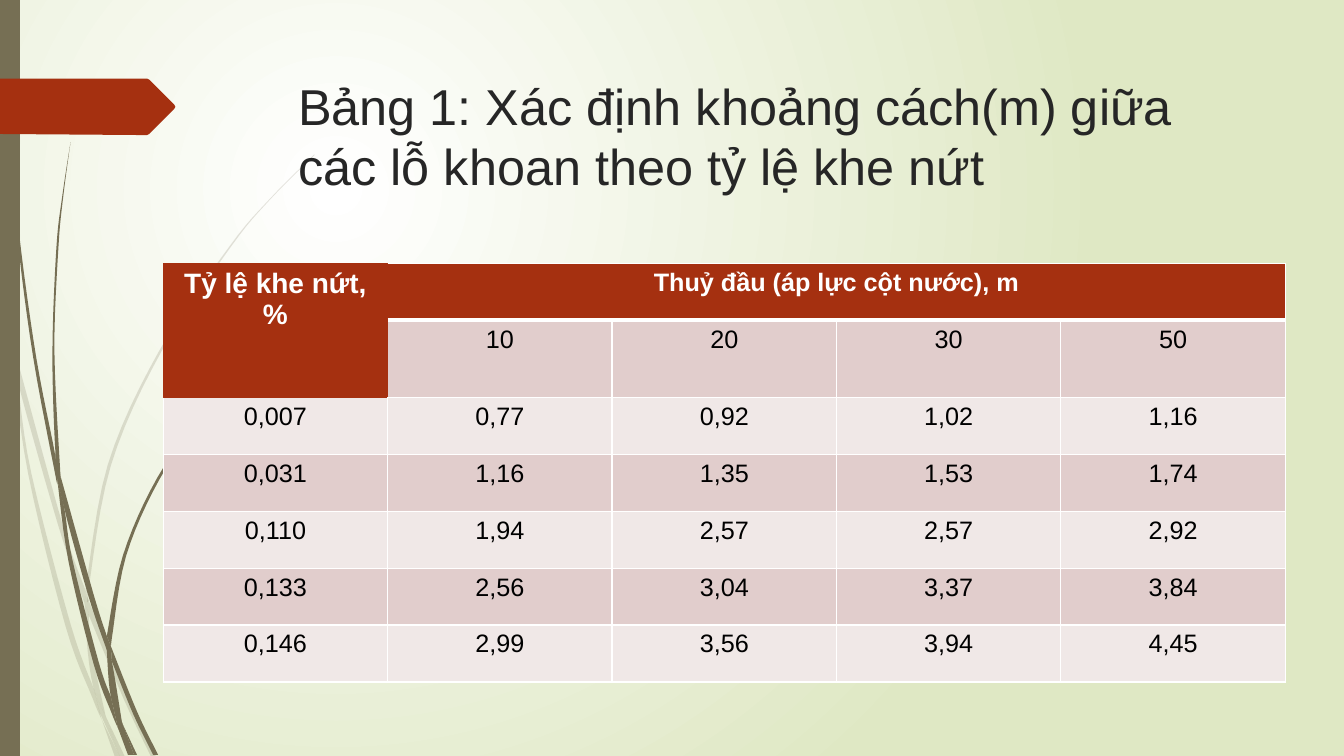
import pptx
import pptx.dml.color
import pptx.enum.text
import pptx.oxml
import pptx.oxml.ns
import pptx.util

Pt = pptx.util.Pt
RGBColor = pptx.dml.color.RGBColor

WHITE = RGBColor(0xFF, 0xFF, 0xFF)
BLACK = RGBColor(0, 0, 0)
TITLE_INK = RGBColor(0x26, 0x26, 0x26)
LEAF_GREEN = RGBColor(0xDF, 0xE8, 0xC4)
STEM = RGBColor(0x76, 0x6F, 0x54)
RUST = RGBColor(0xA5, 0x30, 0x10)
ROSE = RGBColor(0xE1, 0xCD, 0xCC)
PALE_ROSE = RGBColor(0xF0, 0xE8, 0xE7)
FONT = "Arial"
GRID = Pt(0.72)  # the grass and the arrow are laid out on this step
CURVE_STEPS = 6

# Each blade piece is a list of smooth edges, joined in order and closed.
PALE_GRASS = [
    [[(11, 350), (9, 322), (0, 282)], [(0, 299), (11, 350)]],
    [[(14, 345), (17, 376), (58, 522), (84, 599)], [(85, 586), (62, 520), (14, 345)]],
    [[(88, 610), (123, 694), (150, 751)], [(155, 751), (127, 692), (88, 596)]],
    [[(119, 751), (124, 751)], [(105, 711), (119, 751)]],
    [[(93, 683), (70, 619), (31, 469), (17, 376), (11, 350)],
     [(11, 350), (28, 470), (65, 621), (92, 693), (101, 714)]],
    [[(84, 599), (87, 646), (93, 683), (105, 711)], [(105, 711), (91, 646), (88, 608)]],
    [[(88, 596), (88, 584), (110, 462), (160, 349), (229, 245), (268, 198), (312, 154)],
     [(312, 153), (268, 197), (228, 244), (158, 348), (107, 461), (85, 584)]],
    [[(101, 714), (114, 751)], [(119, 751), (101, 714)]],
    [[(88, 608), (88, 596)], [(85, 586), (84, 599)]],
    [[(96, 692), (93, 683)], [(99, 707), (119, 751)], [(105, 711), (96, 692)]],
]
DARK_GRASS = [
    [[(4, 0), (4, 48), (7, 110), (17, 233), (33, 355), (56, 477)],
     [(57, 481), (55, 453), (36, 355), (19, 232), (8, 109), (5, 48), (4, 0)]],
    [[(60, 472), (64, 505), (88, 592), (106, 645)], [(106, 631), (93, 590), (60, 472)]],
    [[(111, 656), (132, 708), (152, 749)], [(157, 749), (136, 706), (110, 641)]],
    [[(110, 691), (98, 657), (72, 556), (64, 505), (57, 477)],
     [(57, 477), (68, 557), (93, 659), (111, 708), (117, 722)]],
    [[(60, 472), (54, 349), (58, 245), (63, 193), (70, 141)],
     [(70, 141), (62, 193), (56, 245), (52, 349), (55, 449), (60, 472)]],
    [[(133, 749), (136, 749)], [(122, 719), (133, 749)]],
    [[(57, 477), (64, 505)], [(60, 472), (55, 449)], [(55, 453), (57, 477)]],
    [[(111, 633), (125, 552), (158, 476), (205, 406), (231, 374), (261, 344)],
     [(260, 344), (231, 373), (204, 405), (156, 474), (122, 551), (106, 631)],
     [(110, 641), (111, 633)]],
    [[(117, 722), (127, 749)], [(131, 749), (117, 722)]],
    [[(106, 645), (110, 691), (122, 719)], [(121, 716), (111, 656), (106, 645)]],
    [[(106, 645), (111, 656)], [(110, 641), (106, 631)]],
    [[(116, 706), (110, 691)], [(117, 722), (130, 749)], [(133, 749), (122, 719), (116, 706)]],
]
ARROW = [[(0, 78), (146, 78)], [(148, 79), (173, 104)], [(174, 106), (173, 108)],
         [(148, 133), (146, 134)], [(136, 134), (0, 133)]]

TITLE = "Bảng 1: Xác định khoảng cách(m) giữa các lỗ khoan theo tỷ lệ khe nứt"
RATIO_HEADING = "Tỷ lệ khe nứt, %"
HEAD_HEADING = "Thuỷ đầu (áp lực cột nước), m"
SPACING_ROWS = [
    ["", "10", "20", "30", "50"],
    ["0,007", "0,77", "0,92", "1,02", "1,16"],
    ["0,031", "1,16", "1,35", "1,53", "1,74"],
    ["0,110", "1,94", "2,57", "2,57", "2,92"],
    ["0,133", "2,56", "3,04", "3,37", "3,84"],
    ["0,146", "2,99", "3,56", "3,94", "4,45"],
]


def paint_background(slide):
    """Fill the slide with a radial glow, white to green."""
    glow = slide.background.fill
    glow.gradient()
    for stop, color in zip(glow.gradient_stops, (WHITE, LEAF_GREEN)):
        stop.color.rgb = color
    linear = slide.background._cSld.find(".//" + pptx.oxml.ns.qn("a:lin"))
    radial = pptx.oxml.parse_xml(
        f'<a:path {pptx.oxml.ns.nsdecls("a")} path="circle">'
        '<a:fillToRect l="50000" t="50000" r="100000" b="100000"/></a:path>')
    linear.getparent().replace(linear, radial)


def smooth(edge):
    """Return points on a soft curve through the anchors of an edge."""
    if len(edge) == 2:
        return edge
    padded = [edge[0], *edge, edge[-1]]
    curve = [edge[0]]
    for before, start, end, after in zip(padded, padded[1:], padded[2:], padded[3:]):
        for step in range(1, CURVE_STEPS + 1):
            t = step / CURVE_STEPS
            curve.append(tuple(
                b + t * ((c - a) + t * (2 * a - 5 * b + 4 * c - d
                                        + t * (3 * b - a - 3 * c + d))) / 2
                for a, b, c, d in zip(before, start, end, after)))
    return curve


def paint(shape, color, opacity=100):
    """Give a shape a plain fill without line or shadow."""
    shape.shadow.inherit = False
    shape.line.fill.background()
    shape.fill.solid()
    shape.fill.fore_color.rgb = color
    if opacity < 100:
        rgb = shape.fill._xPr.find(".//" + pptx.oxml.ns.qn("a:srgbClr"))
        rgb.append(pptx.oxml.parse_xml(
            f'<a:alpha {pptx.oxml.ns.nsdecls("a")} val="{opacity * 1000}"/>'))


def add_outline(slide, edges, color, opacity=100):
    """Draw a closed outline from its edges."""
    points = [(x * GRID, y * GRID) for edge in edges for x, y in smooth(edge)]
    outline = slide.shapes.build_freeform(*points[0])
    outline.add_line_segments(points[1:], close=True)
    paint(outline.convert_to_shape(), color, opacity)


def style_text(paragraph, size, color, bold=False):
    """Format the runs of a paragraph."""
    for run in paragraph.runs:
        run.font.name = FONT
        run.font.size = Pt(size)
        run.font.bold = bold
        run.font.color.rgb = color


def add_title(slide):
    """Write the heading of the slide."""
    heading = slide.shapes.add_textbox(Pt(206), Pt(50), Pt(702), Pt(100.8)).text_frame
    heading.word_wrap = True
    heading.text = TITLE
    style_text(heading.paragraphs[0], 36, TITLE_INK)


def set_borders(cell, **widths):
    """Set white borders by side (L, R, T, B); sides left out get none."""
    for side in "LRTB":
        width = widths.get(side, 0)
        ink = (f'<a:solidFill><a:srgbClr val="{WHITE}"/></a:solidFill>'
               if width else "<a:noFill/>")
        cell._tc.get_or_add_tcPr().append(pptx.oxml.parse_xml(
            f'<a:ln{side} {pptx.oxml.ns.nsdecls("a")} w="{Pt(width)}">{ink}</a:ln{side}>'))


def fill_cell(cell, text, fill, size=18, color=BLACK, bold=False):
    """Write centred text on a plain cell fill."""
    cell.fill.solid()
    cell.fill.fore_color.rgb = fill
    cell.text = text
    paragraph = cell.text_frame.paragraphs[0]
    paragraph.alignment = pptx.enum.text.PP_ALIGN.CENTER
    style_text(paragraph, size, color, bold)


def add_spacing_table(slide):
    """Build the table of hole spacings by crack ratio and water head."""
    frame = slide.shapes.add_table(7, 5, Pt(116.6), Pt(188.1), Pt(801.5), Pt(295.3))
    table = frame.table
    table.first_row = table.horz_banding = False
    for column in table.columns:
        column.width = Pt(160.3)
    for index, row in enumerate(table.rows):
        row.height = Pt(51.5 if index == 1 else 40.63)

    for column in range(5):
        sides = {"T": 1, "R": 1, "B": 3} if column else {}
        set_borders(table.cell(0, column), **sides)
    for index, values in enumerate(SPACING_ROWS, start=1):
        for column, value in enumerate(values):
            cell = table.cell(index, column)
            if index == 1:
                sides = {"T": 3, "R": 1, "B": 1, "L": int(column > 1)} if column else {}
            else:
                sides = {"L": 1, "R": 1, "B": 1, "T": int(index > 2 or column > 0)}
            set_borders(cell, **sides)
            if value:
                fill_cell(cell, value, ROSE if index % 2 else PALE_ROSE)

    table.cell(0, 0).merge(table.cell(1, 0))
    table.cell(0, 1).merge(table.cell(0, 4))
    fill_cell(table.cell(0, 0), RATIO_HEADING, RUST, 20, WHITE, True)
    fill_cell(table.cell(0, 1), HEAD_HEADING, RUST, 18, WHITE, True)


def main():
    """Build and save the slide."""
    deck = pptx.Presentation()
    deck.slide_width, deck.slide_height = Pt(960), Pt(540)
    slide = deck.slides.add_slide(deck.slide_layouts[6])
    paint_background(slide)
    for piece in PALE_GRASS:
        add_outline(slide, piece, STEM, 20)
    for piece in DARK_GRASS:
        add_outline(slide, piece, STEM)
    add_outline(slide, [[(0, 0), (20, 0)], [(20, 750), (0, 750)]], STEM)
    add_outline(slide, ARROW, RUST)
    add_title(slide)
    add_spacing_table(slide)
    deck.save("out.pptx")


main()
